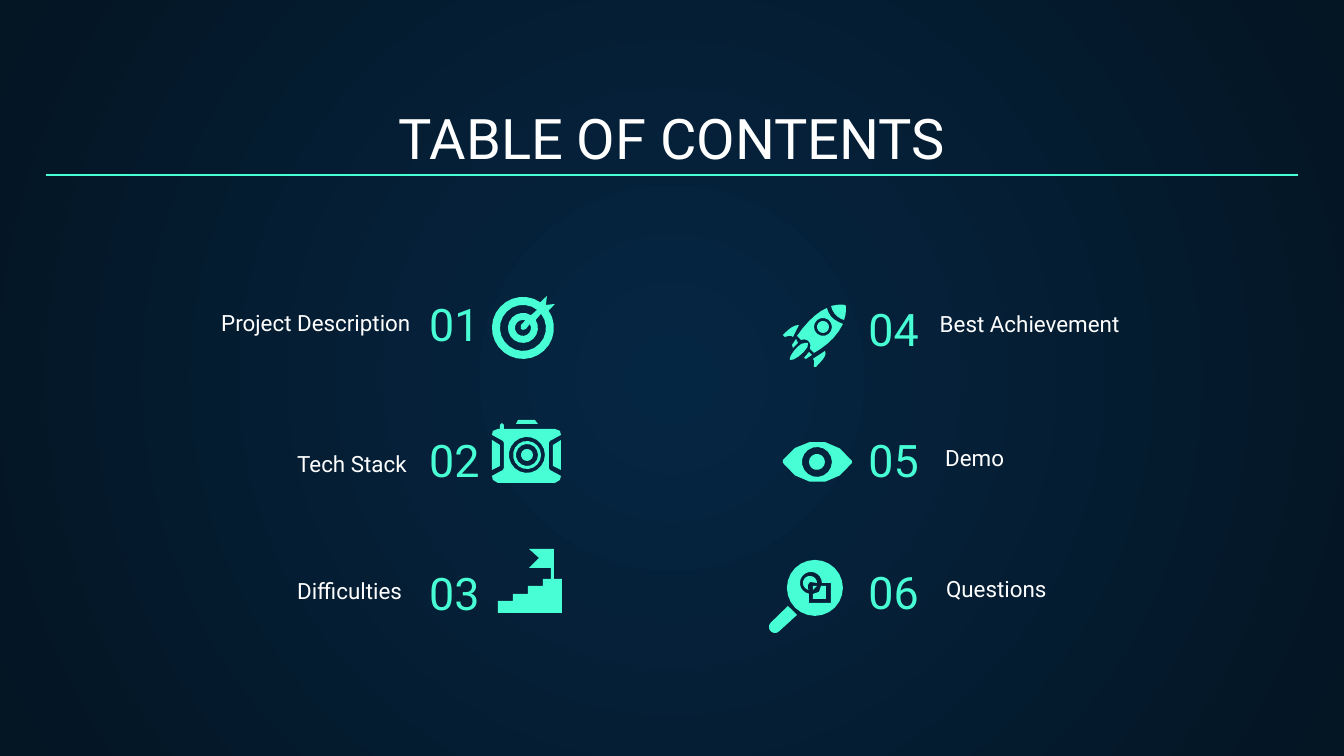
from math import cos, radians, sin

from lxml import etree
from pptx import Presentation
from pptx.dml.color import RGBColor
from pptx.enum.shapes import MSO_CONNECTOR
from pptx.enum.text import MSO_ANCHOR, MSO_AUTO_SIZE, PP_ALIGN
from pptx.oxml.ns import qn
from pptx.util import Pt

BOTTOM = MSO_ANCHOR.BOTTOM
LEFT, CENTER, RIGHT = PP_ALIGN.LEFT, PP_ALIGN.CENTER, PP_ALIGN.RIGHT

THEME = {
    "font": "Roboto",
    "white": RGBColor.from_string("FFFFFF"),
    "mint": RGBColor.from_string("48FFD5"),
    "glow": RGBColor.from_string("052643"),
    "night": RGBColor.from_string("041523"),
    "title": 30,
    "number": 24,
    "label": 12,
    "rule": 0.75,
}
SCALE = 914400 / 134.4
WIDE, HIGH = 1344, 756
NUMBER = (173, 89)
LABEL = (305, 28)


def arc(x, y, r, start=0, stop=360):
    steps = 10 + r // 2
    turns = [radians(start + (stop - start) * i / steps) for i in range(steps + 1)]
    return [(x + r * cos(t), y + r * sin(t)) for t in turns]


def curve(a, b, c, d):
    steps = 5
    points = []
    for i in range(steps + 1):
        t = i / steps
        parts = ((1 - t) ** 3, 3 * t * (1 - t) ** 2, 3 * t * t * (1 - t), t ** 3)
        points.append(tuple(sum(k * p[n] for k, p in zip(parts, (a, b, c, d)))
                            for n in (0, 1)))
    return points


def flip(points, axis):
    return [(2 * axis - x, y) for x, y in points]


SIDE = [(492, 440), (492, 470), (500, 466), (500, 445)]

TARGET = [[
    arc(523, 328, 31, -34, 304) + [(547, 296), (546, 305), (555, 304)],
    arc(523, 328, 23, -38, 308) + arc(523, 328, 15, 302, -32),
    arc(523, 328, 8, -30, 288) + [(521, 325), (521, 329), (523, 330), (526, 329)],
]]
CAMERA = [
    [SIDE],
    [arc(527, 455, 6)],
    [flip(SIDE, 526.5)],
    [[(500, 429), (500, 425), (502, 423), (504, 425), (504, 429), (555, 429),
      (560, 431), (561, 435), (550, 441), (549, 443), (549, 468), (550, 470),
      (561, 476), (560, 480), (555, 483), (498, 483), (493, 480), (492, 476),
      (503, 470), (504, 468), (504, 443), (503, 441), (492, 435), (493, 431),
      (498, 429)],
     arc(527, 455, 18)],
    [arc(527, 455, 14), arc(527, 455, 11)],
    [[(516, 424), (518, 420), (535, 420), (538, 424)]],
]
STAIRS = [[
    [(529, 549), (539, 558), (529, 568), (551, 568), (551, 579), (543, 579),
     (543, 586), (528, 586), (528, 594), (513, 594), (513, 601), (498, 601),
     (498, 613), (562, 613), (562, 579), (554, 579), (554, 549)],
]]
ROCKET = [
    [[(796, 339), (792, 345), (793, 348), (798, 343)]],
    [[(809, 352), (804, 358), (806, 359), (812, 355)]],
    [curve((805, 343), (800, 342), (790, 355), (790, 358))
     + curve((790, 360), (794, 362), (811, 348), (808, 343))],
    [curve((799, 325), (793, 325), (788, 330), (783, 335))
     + curve((785, 337), (788, 336), (791, 335), (793, 337))],
    [curve((825, 351), (827, 355), (824, 359), (816, 367))
     + curve((814, 367), (813, 364), (816, 362), (813, 359))],
    [arc(823, 327, 6)],
    [curve((846, 306), (846, 311), (846, 315), (844, 320))
     + curve((844, 320), (838, 318), (833, 314), (831, 306))
     + curve((831, 306), (836, 305), (841, 304), (845, 305))],
    [curve((827, 308), (817, 312), (806, 323), (797, 336))
     + curve((801, 340), (807, 338), (812, 342), (810, 349))
     + curve((814, 353), (825, 347), (837, 337), (843, 324))
     + curve((843, 324), (835, 321), (829, 317), (827, 308)),
     arc(823, 327, 9)],
]
EYE = [[
    curve((783, 460), (800, 435), (835, 435), (852, 461))
    + curve((852, 463), (835, 489), (800, 489), (783, 463)),
    arc(817, 462, 15), arc(817, 462, 8),
]]
LENS = [
    [[(788, 606), (797, 615)] + arc(775, 627, 6, 45, 225)],
    [[(813, 586), (817, 586), (813, 590)]],
    [arc(810, 583, 7, 0, -270) + [(808, 590), (808, 585), (810, 582)]],
    [[(821, 586), (826, 586), (826, 599), (813, 599), (813, 594), (819, 592)]],
    [arc(815, 588, 28),
     arc(811, 583, 11, 0, -260) + [(809, 603), (831, 603), (831, 583)]],
]

ITEMS = [
    ("01", (416, 275), LEFT, "Project Description", (119, 321), RIGHT, TARGET),
    ("02", (416, 411), LEFT, "Tech Stack", (284, 462), LEFT, CAMERA),
    ("03", (416, 544), LEFT, "Difficulties", (284, 589), LEFT, STAIRS),
    ("04", (759, 280), RIGHT, "Best Achievement", (828, 322), RIGHT, ROCKET),
    ("05", (759, 411), RIGHT, "Demo", (932, 456), LEFT, EYE),
    ("06", (759, 543), RIGHT, "Questions", (755, 587), RIGHT, LENS),
]


def px(*values):
    return [round(v * SCALE) for v in values]


def write(shape, text, size, color, align):
    frame = shape.text_frame
    frame.text = text
    frame.word_wrap = True
    frame.auto_size = MSO_AUTO_SIZE.NONE
    frame.vertical_anchor = BOTTOM
    frame.margin_left = frame.margin_right = Pt(7.2)
    frame.margin_top = frame.margin_bottom = Pt(7.2)
    line = frame.paragraphs[0]
    line.alignment = align
    font = line.runs[0].font
    font.name = THEME["font"]
    font.size = Pt(THEME[size])
    font.color.rgb = THEME[color]


def draw(shapes, piece):
    first, *rest = [[px(*point) for point in ring] for ring in piece]
    pen = shapes.build_freeform(*first[0], scale=1.0)
    pen.add_line_segments(first[1:], close=True)
    for ring in rest:
        pen.move_to(*ring[0])
        pen.add_line_segments(ring[1:], close=True)
    shape = pen.convert_to_shape()
    shape.shadow.inherit = False
    shape.fill.solid()
    shape.fill.fore_color.rgb = THEME["mint"]
    shape.line.fill.background()


def paint(slide):
    fill = slide.background.fill
    fill.gradient()
    for stop, name in zip(fill.gradient_stops, ("glow", "night")):
        stop.color.rgb = THEME[name]
    grad = slide.element.find(".//" + qn("a:gradFill"))
    grad.remove(grad.find(qn("a:lin")))
    shade = etree.SubElement(grad, qn("a:path"), {"path": "circle"})
    etree.SubElement(shade, qn("a:fillToRect"), dict.fromkeys("ltrb", "50000"))


def main():
    deck = Presentation()
    deck.slide_width, deck.slide_height = px(WIDE, HIGH)
    slide = deck.slides.add_slide(deck.slide_layouts[5])
    paint(slide)
    title = slide.shapes.title
    title.left, title.top, title.width, title.height = px(46, 95, 1252, 89)
    write(title, "TABLE OF CONTENTS", "title", "white", CENTER)

    rule = slide.shapes.add_connector(MSO_CONNECTOR.STRAIGHT, *px(46, 175, 1298, 175))
    rule.line.color.rgb = THEME["mint"]
    rule.line.width = Pt(THEME["rule"])
    etree.SubElement(rule.element.spPr, qn("a:effectLst"))

    for number, spot, side, label, place, align, icon in ITEMS:
        box = slide.shapes.add_textbox(*px(*spot, *NUMBER))
        write(box, number, "number", "mint", side)
        box = slide.shapes.add_textbox(*px(*place, *LABEL))
        write(box, label, "label", "white", align)
        single = len(icon) == 1
        shapes = slide.shapes if single else slide.shapes.add_group_shape().shapes
        for piece in icon:
            draw(shapes, piece)
    deck.save("out.pptx")


if __name__ == "__main__":
    main()
